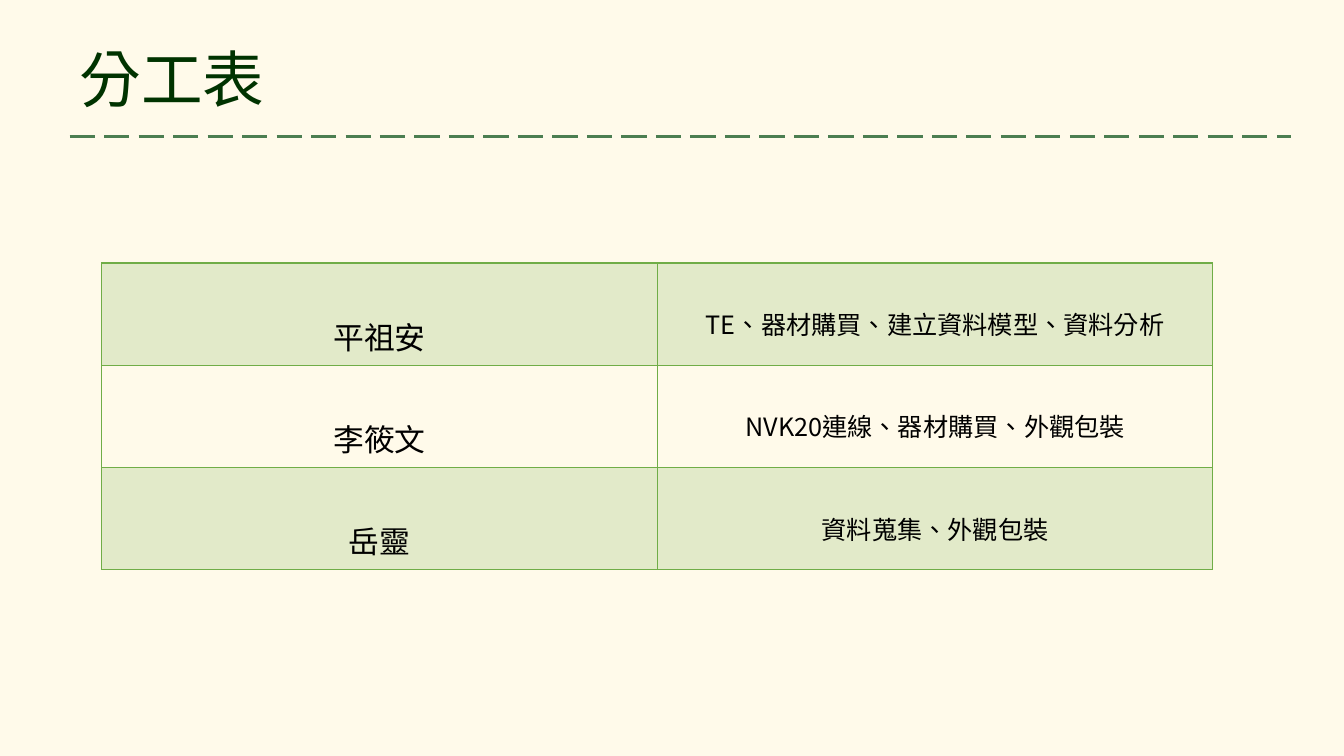
from dataclasses import dataclass

from lxml import etree
from pptx import Presentation
from pptx import util as u
from pptx.dml import color
from pptx.enum import dml, lang, shapes, text
from pptx.oxml import ns


@dataclass(frozen=True)
class Theme:
    font: str = "Noto Sans CJK SC"
    background: str = "FFFAEA"
    title: str = "003300"
    rule: str = "4C7E51"
    table: str = "70AD47"
    ink: str = "000000"
    title_size: int = 44
    name_size: int = 22
    duty_size: int = 18
    rule_width: float = 2.25
    border_width: float = 1
    band_opacity: int = 20


THEME = Theme()
DUTIES = [
    ("平祖安", "TE、器材購買、建立資料模型、資料分析"),
    ("李筱文", "NVK20連線、器材購買、外觀包裝"),
    ("岳靈", "資料蒐集、外觀包裝"),
]


def rgb(value):
    return color.RGBColor.from_string(value)


def apply(target, formats):
    for name, value in formats.items():
        setattr(target, name, value)


def write(frame, words, size, ink, **paragraph_formats):
    para = frame.paragraphs[0]
    apply(para, paragraph_formats)
    span = para.add_run()
    span.text = words
    apply(span.font, {"size": u.Pt(size), "name": THEME.font,
                      "language_id": lang.MSO_LANGUAGE_ID.TRADITIONAL_CHINESE})
    span.font.color.rgb = rgb(ink)
    east_asian = etree.SubElement(span.font._element, ns.qn("a:ea"))
    east_asian.set("typeface", THEME.font)


def border(cell):
    properties = cell._tc.get_or_add_tcPr()
    for index, side in enumerate(("lnL", "lnR", "lnT", "lnB")):
        edge = etree.Element(ns.qn(f"a:{side}"), w=str(u.Pt(THEME.border_width)))
        fill = etree.SubElement(edge, ns.qn("a:solidFill"))
        etree.SubElement(fill, ns.qn("a:srgbClr"), val=THEME.table)
        properties.insert(index, edge)


def shade(cell, banded):
    if not banded:
        cell.fill.background()
        return
    cell.fill.solid()
    cell.fill.fore_color.rgb = rgb(THEME.table)
    tint = cell._tc.tcPr.find(f".//{ns.qn('a:srgbClr')}")
    etree.SubElement(tint, ns.qn("a:alpha"), val=str(THEME.band_opacity * 1000))


def add_heading(page, box, words):
    left, top, width, height = box
    title = page.shapes.title
    apply(title, {"left": u.Inches(left), "top": u.Inches(top),
                  "width": u.Inches(6.76), "height": u.Inches(0.84)})
    apply(title.text_frame, {"word_wrap": True,
                             "auto_size": text.MSO_AUTO_SIZE.NONE,
                             "vertical_anchor": text.MSO_ANCHOR.MIDDLE})
    write(title.text_frame, words, THEME.title_size, THEME.title,
          alignment=text.PP_ALIGN.LEFT)

    bottom = u.Inches(top + height)
    rule = page.shapes.add_connector(
        shapes.MSO_CONNECTOR.STRAIGHT,
        u.Inches(left), bottom, u.Inches(left + width), bottom)
    apply(rule.line, {"width": u.Pt(THEME.rule_width),
                      "dash_style": dml.MSO_LINE.LONG_DASH})
    rule.line.color.rgb = rgb(THEME.rule)
    etree.SubElement(rule._element.spPr, ns.qn("a:effectLst"))


def add_duty_table(page, box, duties):
    table = page.shapes.add_table(
        len(duties), 2, *(u.Inches(length) for length in box)).table
    apply(table, {"first_row": False, "horz_banding": False})
    margins = {"margin_left": u.Inches(0.12), "margin_right": u.Inches(0.12),
               "margin_top": u.Inches(0.06), "margin_bottom": u.Inches(0.06)}
    sizes = (THEME.name_size, THEME.duty_size)
    for row, entry in enumerate(duties):
        for column, (words, size) in enumerate(zip(entry, sizes)):
            cell = table.cell(row, column)
            apply(cell, margins)
            write(cell.text_frame, words, size, THEME.ink,
                  alignment=text.PP_ALIGN.CENTER, line_spacing=2.0)
            shade(cell, row % 2 == 0)
            border(cell)


def add_duty_page(deck):
    page = deck.slides.add_slide(deck.slide_layouts.get_by_name("Title Only"))
    page.background.fill.solid()
    page.background.fill.fore_color.rgb = rgb(THEME.background)
    add_duty_table(page, (1.01, 2.61, 11.02, 3.04), DUTIES)
    add_heading(page, (0.69, 0.35, 12.11, 1), "分工表")


def main():
    deck = Presentation()
    apply(deck, {"slide_width": u.Inches(13.33), "slide_height": u.Inches(7.5)})
    add_duty_page(deck)
    deck.save("out.pptx")


if __name__ == "__main__":
    main()
